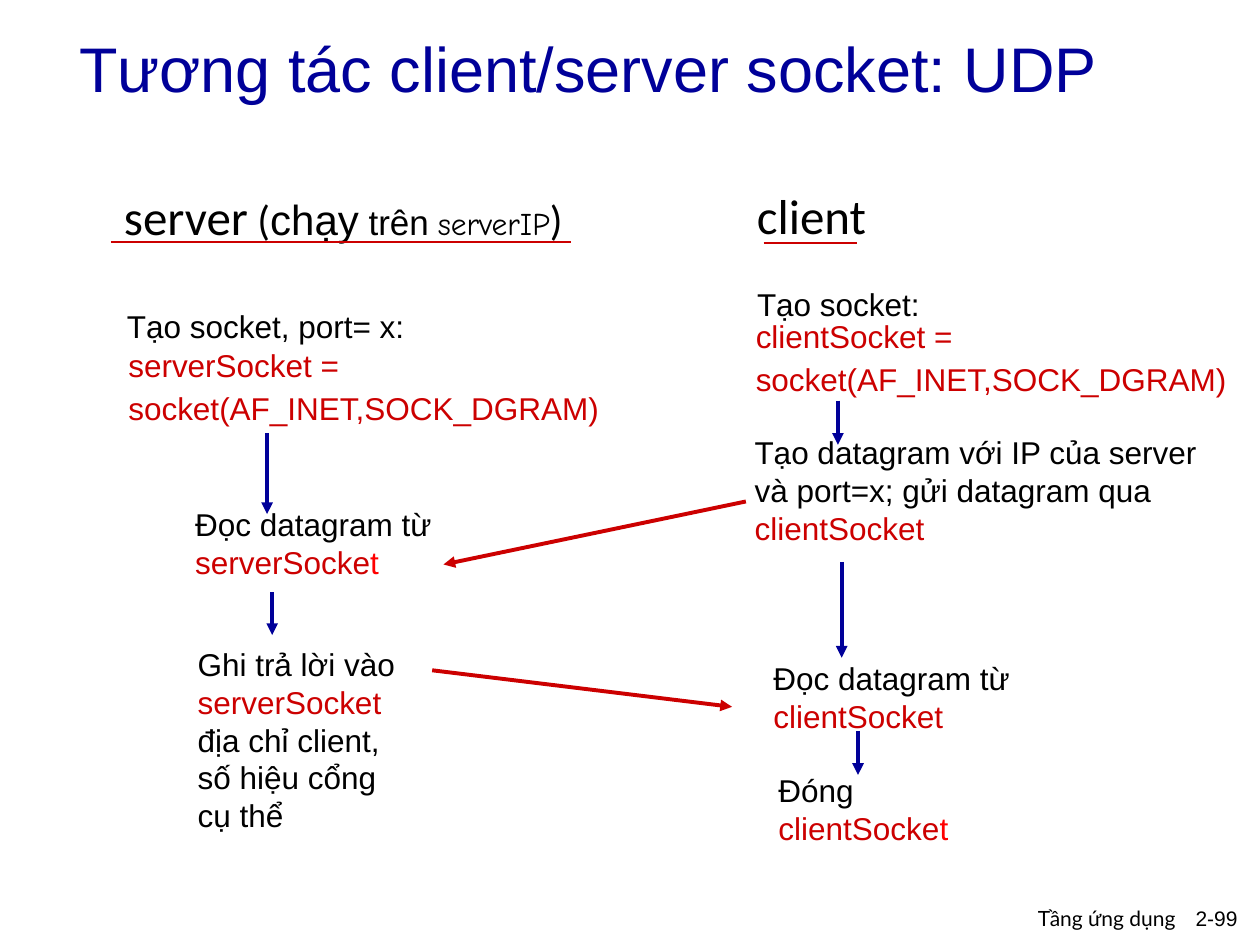
from collections import namedtuple

from lxml.etree import SubElement
from pptx import Presentation
from pptx.dml.color import RGBColor
from pptx.enum.shapes import MSO_CONNECTOR
from pptx.enum.text import MSO_ANCHOR, MSO_AUTO_SIZE, PP_ALIGN
from pptx.oxml.ns import qn
from pptx.util import Inches, Pt

COLORS = {"title": "000099", "text": "000000", "code": "CC0000",
          "last": "FF0000", "flow": "000099", "message": "CC0000"}
COLUMNS, ROWS = 100, 75  # grid over the slide
SLIDE_WIDTH, SLIDE_HEIGHT = Inches(10), Inches(7.5)

Box = namedtuple("Box", "left top width height")
SLIDE_BOX = Box(0, 0, COLUMNS, ROWS)
SERVER_BOX = Box(8, 14, 40, 54)
CLIENT_BOX = Box(58, 14, 41, 54)


def across(columns):
    return round(SLIDE_WIDTH * columns / COLUMNS)


def down(rows):
    return round(SLIDE_HEIGHT * rows / ROWS)


def run(text, color="text", size=18, font="Arial"):
    return text, color, size, font


def add_text(slide, region, place, paragraphs, align=PP_ALIGN.LEFT,
             anchor=MSO_ANCHOR.MIDDLE, wrap=False, line=None, gap=None):
    """Place paragraphs, each a list of runs, at an offset inside a region."""
    left, top, width, height = place
    shape = slide.shapes.add_textbox(
        across(region.left + left), down(region.top + top),
        across(width), down(height))
    frame = shape.text_frame
    frame.word_wrap = wrap
    # An unwrapped label grows with its text, so its lines never break
    frame.auto_size = MSO_AUTO_SIZE.NONE if wrap else MSO_AUTO_SIZE.SHAPE_TO_FIT_TEXT
    frame.vertical_anchor = anchor
    for index, runs in enumerate(paragraphs):
        paragraph = frame.add_paragraph() if index else frame.paragraphs[0]
        paragraph.alignment = align
        if line:
            paragraph.line_spacing = Pt(line)
        if gap and index:
            paragraph.space_before = Pt(gap)
        for text, color, size, font in runs:
            part = paragraph.add_run()
            part.text = text
            part.font.size = Pt(size)
            part.font.name = font
            part.font.color.rgb = RGBColor.from_string(COLORS[color])


def add_line(slide, region, start, end, color, width=2.25, arrow=True):
    connector = slide.shapes.add_connector(
        MSO_CONNECTOR.STRAIGHT,
        across(region.left + start[0]), down(region.top + start[1]),
        across(region.left + end[0]), down(region.top + end[1]))
    connector.line.color.rgb = RGBColor.from_string(COLORS[color])
    connector.line.width = Pt(width)
    if arrow:
        SubElement(connector.line._get_or_add_ln(), qn("a:tailEnd"), type="triangle")
    SubElement(connector._element.spPr, qn("a:effectLst"))


def add_heading(slide, region, place, runs, underline):
    add_text(slide, region, place, [runs], PP_ALIGN.CENTER)
    start, end, row = underline
    add_line(slide, region, (start, row), (end, row), "message", 1.5, False)


def add_socket_code(slide, region, place, name):
    add_text(slide, region, place,
             [[run(f"{name} =", "code")],
              [run("socket(AF_INET,SOCK_DGRAM)", "code")]], line=20, gap=4.5)


def add_flow(slide, region, steps, arrows):
    for place, paragraphs in steps:
        add_text(slide, region, place, paragraphs)
    for column, start, end in arrows:
        add_line(slide, region, (column, start), (column, end), "flow")


def add_server(slide, region):
    add_heading(slide, region, (0, 0.3, 38.5, 5.7),
                [run("server", size=28, font="Calibri"),
                 run(" (", size=24, font="Calibri"),
                 run("chạy", size=24), run(" trên", size=20), run(" "),
                 run("serverIP", font="Comic Neue"),
                 run(")", size=24, font="Calibri")],
                (0.8, 37.3, 5.2))
    add_socket_code(slide, region, (1.2, 13.2, 39.6, 7.2), "serverSocket")
    steps = [
        ((1.1, 9.9, 24, 4), [[run("Tạo socket, port= x:")]]),
        ((6.5, 25.6, 20.8, 7),
         [[run("Đọc datagram từ")],
          [run("serverSocke", "code"), run("t", "last")]]),
        ((6.7, 36.7, 17.7, 16),
         [[run("Ghi trả lời vào")], [run("serverSocket", "code")],
          [run("địa chỉ client,")], [run("số hiệu cổng")], [run("cụ thể")]]),
    ]
    add_flow(slide, region, steps, [(13.2, 20.4, 26.8), (13.6, 33, 36.4)])


def add_client(slide, region):
    add_heading(slide, region, (0.5, 0.2, 11.8, 5.7),
                [run("client", size=28, font="Calibri")], (2.6, 10, 5.3))
    add_socket_code(slide, region, (1, 10.9, 39.6, 7.2), "clientSocket")
    steps = [
        ((1.1, 8.1, 14.9, 4), [[run("Tạo socket:")]]),
        ((0.9, 19.9, 37.8, 10),
         [[run("Tạo datagram với IP của server")],
          [run("và port=x; gửi datagram qua")],
          [run("clientSocket", "code")]]),
        ((2.4, 37.8, 20.8, 7),
         [[run("Đọc datagram từ")], [run("clientSocket", "code")]]),
        ((2.8, 46.7, 15.5, 7),
         [[run("Đóng")], [run("clientSocke", "code"), run("t", "last")]]),
    ]
    add_flow(slide, region, steps,
             [(8.5, 17.8, 21.3), (8.8, 30.6, 38.2), (10.1, 44, 47.5)])


def add_messages(slide, region):
    # Request to the server, then the reply to the client
    for start, end in [((59.2, 39.8), (35.2, 44.8)),
                       ((34.3, 53.2), (58.1, 56.1))]:
        add_line(slide, region, start, end, "message")


def add_title(slide, region):
    add_text(slide, region, (5.3, 0, 85, 10.7),
             [[run("Tương tác client/server socket: UDP", "title", 36)]], wrap=True)


def add_footer(slide, region):
    for place, content in [
            ((62.6, 71.4, 31.7, 3.1), run("Tầng ứng dụng", size=12, font="Lato")),
            ((83.3, 71.4, 15.9, 3.1), run("2-99", size=12))]:
        add_text(slide, region, place, [[content]], PP_ALIGN.RIGHT,
                 MSO_ANCHOR.TOP, wrap=True)


def main():
    presentation = Presentation()
    presentation.slide_width = SLIDE_WIDTH
    presentation.slide_height = SLIDE_HEIGHT
    slide = presentation.slides.add_slide(presentation.slide_layouts[6])
    add_title(slide, SLIDE_BOX)
    add_server(slide, SERVER_BOX)
    add_client(slide, CLIENT_BOX)
    add_messages(slide, SLIDE_BOX)
    add_footer(slide, SLIDE_BOX)
    presentation.save("out.pptx")


if __name__ == "__main__":
    main()
